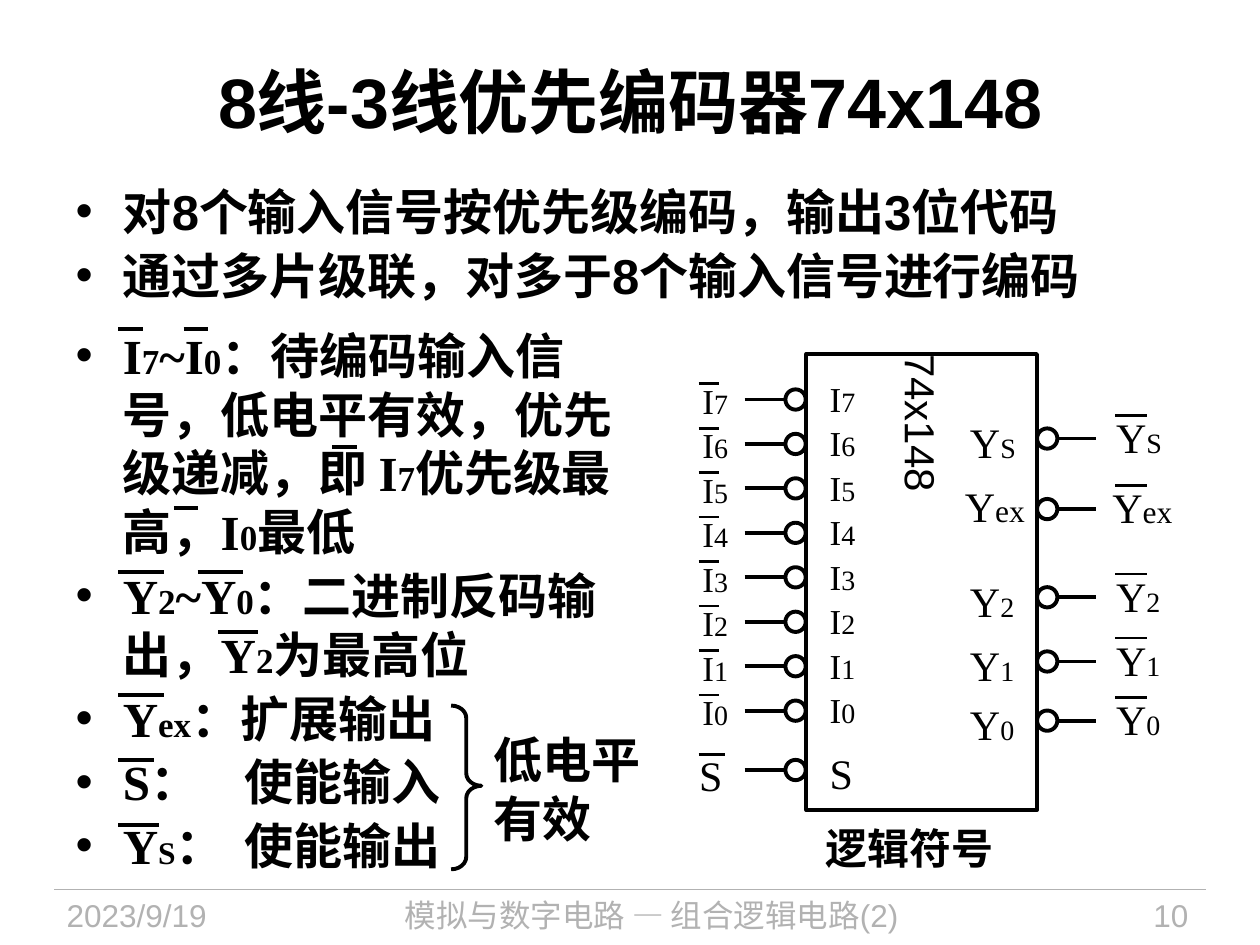
from lxml import etree
from pptx import Presentation
from pptx.dml import color
from pptx.enum import shapes, text
from pptx.oxml import ns
from pptx.util import Pt

SANS, SERIF = "Arial", "Times New Roman"
BLACK, GREY = "000000", "B2B2B2"
LEFT, CENTER, RIGHT = text.PP_ALIGN.LEFT, text.PP_ALIGN.CENTER, text.PP_ALIGN.RIGHT


def write(paragraph, content, size=24, sub=16, font=SERIF, colour=BLACK, bold=False, align=LEFT):
    """Write a paragraph; the parts between underscores take the sub size."""
    paragraph.alignment = align
    for index, part in enumerate(content.split("_")):
        if part:
            run = paragraph.add_run()
            run.text = part
            run.font.name = font
            run.font.size = Pt(sub if index % 2 else size)
            run.font.bold = bold
            run.font.color.rgb = color.RGBColor.from_string(colour)


def draw_line(left, right, y, width=2.25, colour=BLACK):
    line = slide.shapes.add_connector(
        shapes.MSO_CONNECTOR.STRAIGHT, Pt(left), Pt(y), Pt(right), Pt(y))
    line.line.width = Pt(width)
    line.line.color.rgb = color.RGBColor.from_string(colour)
    etree.SubElement(line._element.spPr, ns.qn("a:effectLst"))


presentation = Presentation()
presentation.slide_width, presentation.slide_height = Pt(720), Pt(540)
slide = presentation.slides.add_slide(presentation.slide_layouts[3])

# Title and the two lists
title, features, signals = slide.placeholders
placeholder_boxes = [
    (title, 36, 12.2, 648, 90),
    (features, 36, 100, 648, 93.6),
    (signals, 36, 182.2, 335.5, 329),
]
for shape, left, top, width, height in placeholder_boxes:
    shape.left, shape.top, shape.width, shape.height = Pt(left), Pt(top), Pt(width), Pt(height)
    shape.text_frame.auto_size = text.MSO_AUTO_SIZE.NONE
    shape.text_frame.word_wrap = True

write(title.text_frame.paragraphs[0], "8线-3线优先编码器74x148",
      size=40, font=SANS, bold=True, align=CENTER)

list_items = [
    (features, SANS, 20, "对8个输入信号按优先级编码，输出3位代码"),
    (features, SANS, 20, "通过多片级联，对多于8个输入信号进行编码"),
    (signals, SERIF, 20, "I_7_~I_0_：待编码输入信号，低电平有效，优先级递减，即 I_7_优先级最高，I_0_最低"),
    (signals, SERIF, 20, "Y_2_~Y_0_：二进制反码输出，Y_2_为最高位"),
    (signals, SERIF, 20, "Y_ex_：扩展输出"),
    (signals, SERIF, 20, "S：\t使能输入"),
    (signals, SERIF, 18, "Y_S_：\t使能输出"),
]
for shape, font, sub, content in list_items:
    paragraph = shape.text_frame.paragraphs[-1]
    if paragraph.runs:
        paragraph = shape.text_frame.add_paragraph()
    write(paragraph, content, size=28, sub=sub, font=font, bold=True)
    paragraph.space_before, paragraph.space_after = Pt(0), Pt(2.8)
    properties = paragraph._p.get_or_add_pPr()
    properties.set("hangingPunct", "0")
    if "\t" in content:
        tabs = etree.SubElement(properties, ns.qn("a:tabLst"))
        etree.SubElement(tabs, ns.qn("a:tab"), pos=str(Pt(96.5)), algn="l")

# Bars over the active-low names in the list
for left, right, y in [
    (67.7, 82, 188), (105, 119, 188), (190, 204, 255.6), (99.4, 113, 290.2),
    (67.7, 93.6, 327), (113, 139, 327), (124.6, 147.6, 361),
    (67.7, 93.6, 397.4), (67.7, 88, 434.2), (67.7, 90.7, 471.6),
]:
    draw_line(left, right, y)

# Pins: name, centre height, name size, subscript size
inputs = [(f"I_{7 - row}_", 228.3 + 25.4 * row, 20, 16) for row in range(8)]
inputs.append(("S", 440, 24, 16))
outputs = [("Y_S_", 250.6, 24, 16), ("Y_ex_", 290.9, 24, 18), ("Y_2_", 341.3, 24, 16),
           ("Y_1_", 378, 24, 16), ("Y_0_", 411.8, 24, 16)]

# Chip body, brace and inversion circles
chip_box = (460.8, 202.3, 131.8, 260.6)
outlines = [(shapes.MSO_SHAPE.RECTANGLE, chip_box),
            (shapes.MSO_SHAPE.RIGHT_BRACE, (257.8, 403.2, 17.3, 93.6))]
for pins, left in [(inputs, 448.8), (outputs, 592.6)]:
    outlines += [(shapes.MSO_SHAPE.OVAL, (left, y - 5.8, 11.6, 11.6)) for _, y, _, _ in pins]

for kind, box in outlines:
    shape = slide.shapes.add_shape(kind, *map(Pt, box))
    shape.shadow.inherit = False
    shape.fill.background()
    shape.line.width = Pt(2.25)
    shape.line.color.rgb = color.RGBColor.from_string(BLACK)
    if kind == shapes.MSO_SHAPE.RIGHT_BRACE:
        shape.adjustments[0], shape.adjustments[1] = 0.41, 0.49
    elif kind == shapes.MSO_SHAPE.RECTANGLE:
        frame = shape.text_frame
        frame.margin_left = frame.margin_right = frame.margin_top = frame.margin_bottom = 0
        frame.vertical_anchor = text.MSO_ANCHOR.MIDDLE
        frame.word_wrap = True
        frame._txBody.bodyPr.set("vert", "eaVert")
        write(frame.paragraphs[0], "74x148", font=SANS, align=CENTER)

# Pin lines, overbars and label places
labels = []
for name, y, size, sub in inputs:
    width, height = (30, 31) if size == 20 else (28, 36)
    draw_line(425.5, 448.8, y)
    draw_line(399.2, 410.8 if size == 20 else 414, y - 9, width=1.5)
    labels.append((name, size, sub, 467, y - 16.2, width, height))
    labels.append((name, size, sub, 394.3 if size == 20 else 392.4, y - 15, width, height))
for name, y, size, sub in outputs:
    wide = name == "Y_ex_"
    width = 50 if wide else 44
    draw_line(604.1, 626.4, y)
    draw_line(637.4, 655.6, y - 13.3, width=1.5)
    labels.append((name, size, sub, 544.3 if wide else 547.2, y - (20 if wide else 16), width, 36))
    labels.append((name, size, sub, 628.6 if wide else 630.7, y - 19, width, 36))

for name, size, sub, left, top, width, height in labels:
    box = slide.shapes.add_textbox(Pt(left), Pt(top), Pt(width), Pt(height))
    box.text_frame.word_wrap = True
    write(box.text_frame.paragraphs[0], name, size=size, sub=sub)

# Captions
brace_note = slide.shapes.add_textbox(Pt(275), Pt(413.3), Pt(102), Pt(74.2)).text_frame
brace_note.word_wrap = True
write(brace_note.paragraphs[0], "低电平", size=28, bold=True)
write(brace_note.add_paragraph(), "有效", size=28, bold=True)
caption = slide.shapes.add_textbox(Pt(464.4), Pt(466.6), Pt(114), Pt(36)).text_frame
caption.word_wrap = True
write(caption.paragraphs[0], "逻辑符号", font=SANS, bold=True)

# Footer
draw_line(31, 689, 508.3, width=0.75, colour=GREY)
for content, left, width, align in [
    ("2023/9/19", 31, 135.4, LEFT),
    ("模拟与数字电路 — 组合逻辑电路(2)", 179.3, 386, CENTER),
    ("10", 590.4, 95.8, RIGHT),
]:
    box = slide.shapes.add_textbox(Pt(left), Pt(508.3), Pt(width), Pt(31.7))
    box.text_frame.word_wrap = True
    write(box.text_frame.paragraphs[0], content, size=18, font=SANS, colour=GREY, align=align)

presentation.save("out.pptx")
